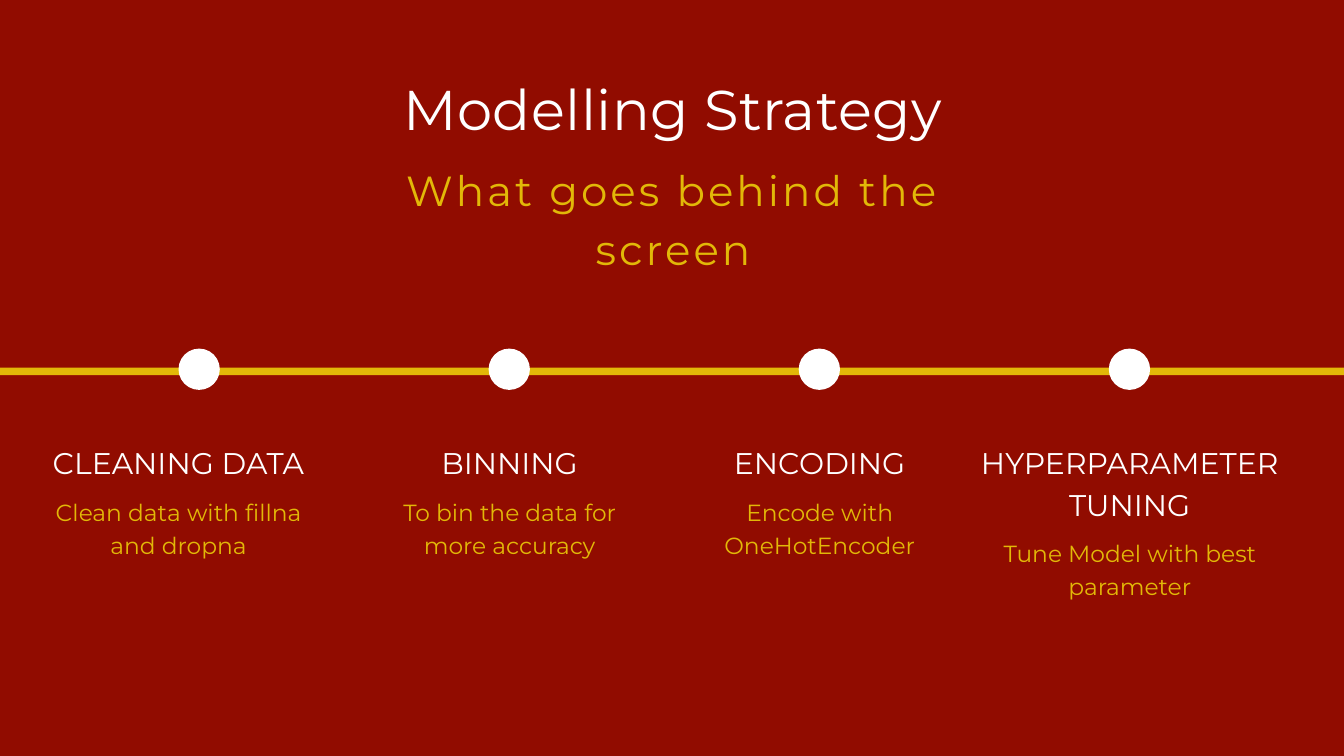
from dataclasses import dataclass

import pptx
import pptx.dml.color
import pptx.enum.shapes
import pptx.enum.text
import pptx.util

PX = 9525  # EMU per px, 96 px to the inch
SLIDE_W, SLIDE_H = 1920, 1080

RED = pptx.dml.color.RGBColor(0x91, 0x0C, 0x00)
GOLD = pptx.dml.color.RGBColor(0xE2, 0xB8, 0x08)
WHITE = pptx.dml.color.RGBColor(0xFF, 0xFF, 0xFF)
FONT = "Montserrat"

BAR_TOP, BAR_H, BAR_BLEED = 525, 11, 100
DOT_TOP, DOT_SIZE = 498, 59
FIRST_DOT_X, DOT_STEP = 284, 443
HEADING_TOP, HEADING_H, HEADING_LINE = 627, 56, 59
DETAIL_TOP, DETAIL_H = 705, 90


@dataclass(frozen=True)
class Stage:
    heading: str
    detail: str
    text_center: int
    text_width: int = 366
    heading_lines: int = 1


STAGES = [
    Stage("CLEANING DATA", "Clean data with fillna and dropna", 255),
    Stage("BINNING", "To bin the data for more accuracy", 728),
    Stage("ENCODING", "Encode with OneHotEncoder", 1171),
    Stage("HYPERPARAMETER TUNING", "Tune Model with best parameter", 1614,
          text_width=432, heading_lines=2),
]


def add_text(slide, text: str, *, left: int, top: int, width: int, height: int,
             size: int, color: pptx.dml.color.RGBColor, tracking: float = 0) -> None:
    box = slide.shapes.add_textbox(left * PX, top * PX, width * PX, height * PX)
    frame = box.text_frame
    frame.margin_left = frame.margin_right = 0
    frame.margin_top = frame.margin_bottom = 0
    frame.word_wrap = True
    frame.auto_size = pptx.enum.text.MSO_AUTO_SIZE.SHAPE_TO_FIT_TEXT
    paragraph = frame.paragraphs[0]
    paragraph.alignment = pptx.enum.text.PP_ALIGN.CENTER
    paragraph.line_spacing = pptx.util.Pt(size * 1.4)
    run = paragraph.add_run()
    run.text = text
    run.font.name = FONT
    run.font.size = pptx.util.Pt(size)
    run.font.color.rgb = color
    if tracking:
        run.font._element.set("spc", str(round(tracking * 100)))


def add_solid(slide, kind: pptx.enum.shapes.MSO_SHAPE, left: int, top: int,
              width: int, height: int, color: pptx.dml.color.RGBColor) -> None:
    shape = slide.shapes.add_shape(kind, left * PX, top * PX, width * PX, height * PX)
    shape.shadow.inherit = False
    shape.fill.solid()
    shape.fill.fore_color.rgb = color
    shape.line.fill.background()


def add_stage_text(slide, stage: Stage) -> None:
    left = stage.text_center - stage.text_width // 2
    extra = (stage.heading_lines - 1) * HEADING_LINE
    add_text(slide, stage.heading, left=left, top=HEADING_TOP, width=stage.text_width,
             height=HEADING_H + extra, size=32, color=WHITE)
    add_text(slide, stage.detail, left=left, top=DETAIL_TOP + extra,
             width=stage.text_width, height=DETAIL_H, size=25, color=GOLD)


def main() -> None:
    deck = pptx.Presentation()
    deck.slide_width, deck.slide_height = SLIDE_W * PX, SLIDE_H * PX
    slide = deck.slides.add_slide(deck.slide_layouts[6])
    slide.background.fill.solid()
    slide.background.fill.fore_color.rgb = RED

    # Timeline: bar bleeding past both edges, one dot per stage
    add_solid(slide, pptx.enum.shapes.MSO_SHAPE.RECTANGLE, -BAR_BLEED, BAR_TOP,
              SLIDE_W + 2 * BAR_BLEED, BAR_H, GOLD)
    for index in range(len(STAGES)):
        dot_left = FIRST_DOT_X + index * DOT_STEP - DOT_SIZE // 2
        add_solid(slide, pptx.enum.shapes.MSO_SHAPE.OVAL, dot_left, DOT_TOP,
                  DOT_SIZE, DOT_SIZE, WHITE)

    # Title and subtitle
    add_text(slide, "Modelling Strategy", left=308, top=91, width=1307, height=106,
             size=60, color=WHITE, tracking=0.5)
    add_text(slide, "What goes behind the screen", left=461, top=223, width=1001,
             height=161, size=45, color=GOLD, tracking=3.3)

    # Stage headings and details
    for stage in STAGES:
        add_stage_text(slide, stage)

    deck.save("out.pptx")


if __name__ == "__main__":
    main()
